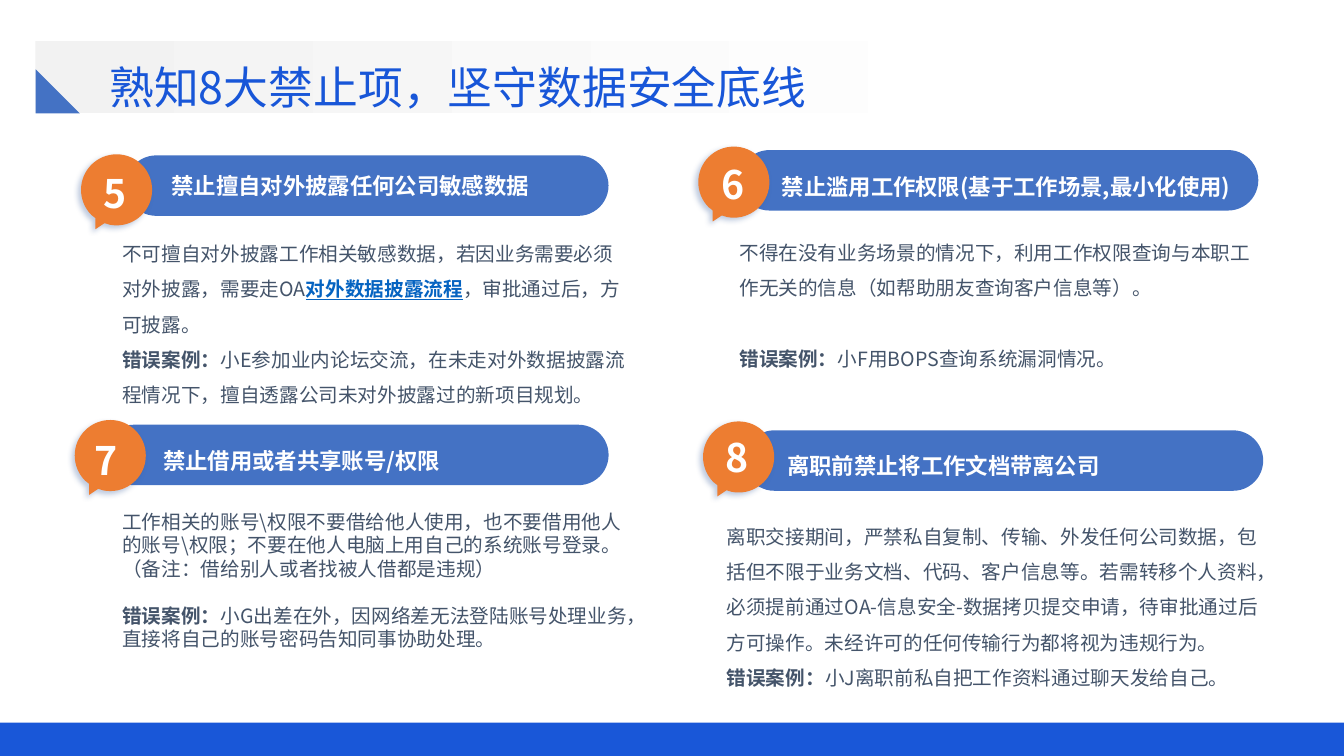
from math import cos, radians, sin, tan

from lxml import etree
from pptx import Presentation
from pptx.dml.color import RGBColor
from pptx.enum.shapes import MSO_SHAPE as SHAPE
from pptx.enum.text import MSO_ANCHOR as ANCHOR, MSO_AUTO_SIZE as AUTOSIZE, PP_ALIGN as ALIGN
from pptx.oxml.ns import qn
from pptx.util import Pt

FONT = "Noto Sans CJK SC"
COLORS = {
    "footer": "0045D4", "banner": "F2F2F2", "white": "FFFFFF", "bar": "4472C4",
    "bubble": "ED7D31", "shadow": "2F5597", "text": "44546A", "link": "0563C1",
    "title": "1856D8",
}
TITLE = "熟知8大禁止项，坚守数据安全底线"
BOLD = {"bold": True}
LINK = {"bold": True, "underline": True, "color": "link"}
CASE = ("错误案例：", BOLD)

RULES = [
    {"number": "5", "number_at": (74.2, 121), "bubble": (83.3, 135.6), "bar": (90, 111, 344.7),
     "heading": "禁止擅自对外披露任何公司敏感数据",
     "heading_box": (100.2, 116, 300.2, 33), "heading_format": {"align": ALIGN.CENTER},
     "body_box": (87.4, 164.4, 361.5, 132), "spacing": 1.5, "case_gap": 0,
     "body": [
         ["不可擅自对外披露工作相关敏感数据，若因业务需要必须对外披露，需要走OA",
          ("对外数据披露流程", LINK), "，审批通过后，方可披露。"],
         [CASE, "小E参加业内论坛交流，在未走对外数据披露流程情况下，擅自透露公司未对外披露过的新项目规划。"]]},
    {"number": "6", "number_at": (515.5, 114.4), "bubble": (524.2, 130.1), "bar": (528, 107.2, 370.8),
     "heading": "禁止滥用工作权限(基于工作场景,最小化使用)",
     "heading_box": (558.4, 109.8, 362, 37.4), "heading_format": {"spacing": 1.5},
     "body_box": (528.2, 163.7, 371, 123), "spacing": 1.5, "case_gap": 25.2,
     "body": [
         ["不得在没有业务场景的情况下，利用工作权限查询与本职工作无关的信息（如帮助朋友查询客户信息等）。"],
         [CASE, "小F用BOPS查询系统漏洞情况。"]]},
    {"number": "7", "number_at": (67.6, 311.8), "bubble": (78.8, 325.4), "bar": (74, 303.4, 360.7),
     "heading": "禁止借用或者共享账号/权限",
     "heading_box": (116.6, 307.4, 318, 33), "heading_format": {"spacing": 1.5},
     "body_box": (87.4, 363.9, 360.7, 116.6), "spacing": 1, "case_gap": 16.8,
     "body": [
         ["工作相关的账号\\权限不要借给他人使用，也不要借用他人的账号\\权限；不要在他人电脑上用自己的系统账号登录。"],
         ["（备注：借给别人或者找被人借都是违规）"],
         [CASE, "小G出差在外，因网络差无法登陆账号处理业务，直接将自己的账号密码告知同事协助处理。"]]},
    {"number": "8", "number_at": (518.4, 309.6), "bubble": (527.6, 326.4), "bar": (531.5, 307.4, 370.8),
     "heading": "离职前禁止将工作文档带离公司",
     "heading_box": (562.3, 311, 271.4, 33), "heading_format": {"spacing": 1.5},
     "body_box": (519.1, 366.5, 383, 144.7), "spacing": 1.5, "case_gap": 0,
     "body": [
         ["离职交接期间，严禁私自复制、传输、外发任何公司数据，包括但不限于业务文档、代码、客户信息等。若需转移个人资料，必须提前通过OA-信息安全-数据拷贝提交申请，待审批通过后方可操作。未经许可的任何传输行为都将视为违规行为。"],
         [CASE, "小J离职前私自把工作资料通过聊天发给自己。"]]},
]

BAR_HEIGHT = 43.2
BUBBLE_RADIUS = 25.4
ARC_ANGLES = [135, 180, 270, 360, 450, 461]
TAIL = [(-8.6, 23.8), (-15.1, 28.1), (-15.1, 20.2)]


def rgb(name):
    return RGBColor.from_string(COLORS[name])


def write(sp, paragraphs, size, color, bold=False, spacing=1, align=ALIGN.LEFT,
          anchor=ANCHOR.TOP, wrap=True, last_gap=0):
    tf = sp.text_frame
    tf.auto_size = AUTOSIZE.NONE
    tf.word_wrap = wrap
    tf.vertical_anchor = anchor
    tf.margin_left = tf.margin_right = tf.margin_top = tf.margin_bottom = 0
    for i, runs in enumerate(paragraphs):
        p = tf.paragraphs[0] if i == 0 else tf.add_paragraph()
        p.alignment = align
        p.line_spacing = spacing
        p.space_before = Pt(last_gap if 0 < i == len(paragraphs) - 1 else 0)
        for run in runs:
            text, style = (run, {}) if isinstance(run, str) else run
            r = p.add_run()
            r.text = text
            r.font.size = Pt(size)
            r.font.bold = style.get("bold", bold)
            r.font.underline = style.get("underline", False)
            r.font.color.rgb = rgb(style.get("color", color))
            r.font.name = FONT
            etree.SubElement(r.font._element, qn("a:ea"), typeface=FONT)


def add_text(slide, box, paragraphs, **style):
    write(slide.shapes.add_textbox(*map(Pt, box)), paragraphs, **style)


def paint(sp, color):
    sp.shadow.inherit = False
    sp.line.fill.background()
    sp.fill.solid()
    sp.fill.fore_color.rgb = rgb(color)
    return sp


def add_block(slide, kind, box, color):
    return paint(slide.shapes.add_shape(kind, *map(Pt, box)), color)


def set_alpha(parent, percent):
    etree.SubElement(parent, qn("a:alpha"), val=str(percent * 1000))


def on_circle(angle, pull=0):
    c, s = cos(radians(angle)), sin(radians(angle))
    return BUBBLE_RADIUS * (c - pull * s), BUBBLE_RADIUS * (s + pull * c)


def add_bubble(slide, cx, cy):
    outline = [on_circle(ARC_ANGLES[0])]
    for a, b in zip(ARC_ANGLES, ARC_ANGLES[1:]):
        pull = 4 / 3 * tan(radians(b - a) / 4)
        outline += [on_circle(a, pull), on_circle(b, -pull), on_circle(b)]
    points = [(Pt(cx + x), Pt(cy + y)) for x, y in outline + TAIL]
    builder = slide.shapes.build_freeform(*points[0], scale=1.0)
    builder.add_line_segments(points[1:], close=True)
    sp = paint(builder.convert_to_shape(), "bubble")

    lines = list(sp.element.iter(qn("a:lnTo")))
    for i in range(0, len(outline) - 1, 3):
        curve = etree.Element(qn("a:cubicBezTo"))
        lines[i].addprevious(curve)
        for line in lines[i:i + 3]:
            curve.append(line[0])
            line.getparent().remove(line)

    effects = sp.element.spPr.find(qn("a:effectLst"))
    shadow = etree.SubElement(effects, qn("a:outerShdw"), blurRad=str(Pt(4)),
                              dist=str(Pt(3)), dir=str(135 * 60000), rotWithShape="0")
    set_alpha(etree.SubElement(shadow, qn("a:srgbClr"), val=COLORS["shadow"]), 30)


def add_rule(slide, rule):
    bar = add_block(slide, SHAPE.ROUNDED_RECTANGLE, (*rule["bar"], BAR_HEIGHT), "bar")
    bar.adjustments[0] = 0.5
    add_bubble(slide, *rule["bubble"])
    add_text(slide, rule["heading_box"], [[rule["heading"]]], size=16, color="white",
             bold=True, anchor=ANCHOR.MIDDLE, **rule["heading_format"])
    add_text(slide, rule["body_box"], rule["body"], size=14, color="text",
             spacing=rule["spacing"], last_gap=rule["case_gap"])
    add_text(slide, (*rule["number_at"], 18, 34), [[rule["number"]]], size=28,
             color="white", bold=True, wrap=False)


def main():
    prs = Presentation()
    prs.slide_width, prs.slide_height = Pt(960), Pt(540)
    slide = prs.slides.add_slide(prs.slide_layouts[5])

    footer = add_block(slide, SHAPE.RECTANGLE, (0, 516.2, 960, 23.8), "footer")
    set_alpha(footer.element.spPr.find(qn("a:solidFill"))[0], 90)

    banner = add_block(slide, SHAPE.RECTANGLE, (25.2, 29.5, 867.6, 51.5), "banner")
    banner.fill.gradient()
    banner.fill.gradient_angle = 0
    for stop, color, position in zip(banner.fill.gradient_stops, ("banner", "white"), (0, 0.8)):
        stop.color.rgb = rgb(color)
        stop.position = position

    for rule in RULES:
        add_rule(slide, rule)

    title = slide.shapes.title
    title.left, title.top, title.width, title.height = map(Pt, (78, 45, 529.2, 33.8))
    write(title, [[TITLE]], size=32, color="title", anchor=ANCHOR.MIDDLE)
    title.element.getparent().append(title.element)
    add_block(slide, SHAPE.RIGHT_TRIANGLE, (25.5, 49.5, 31.5, 31.5), "bar")
    prs.save("out.pptx")


if __name__ == "__main__":
    main()
